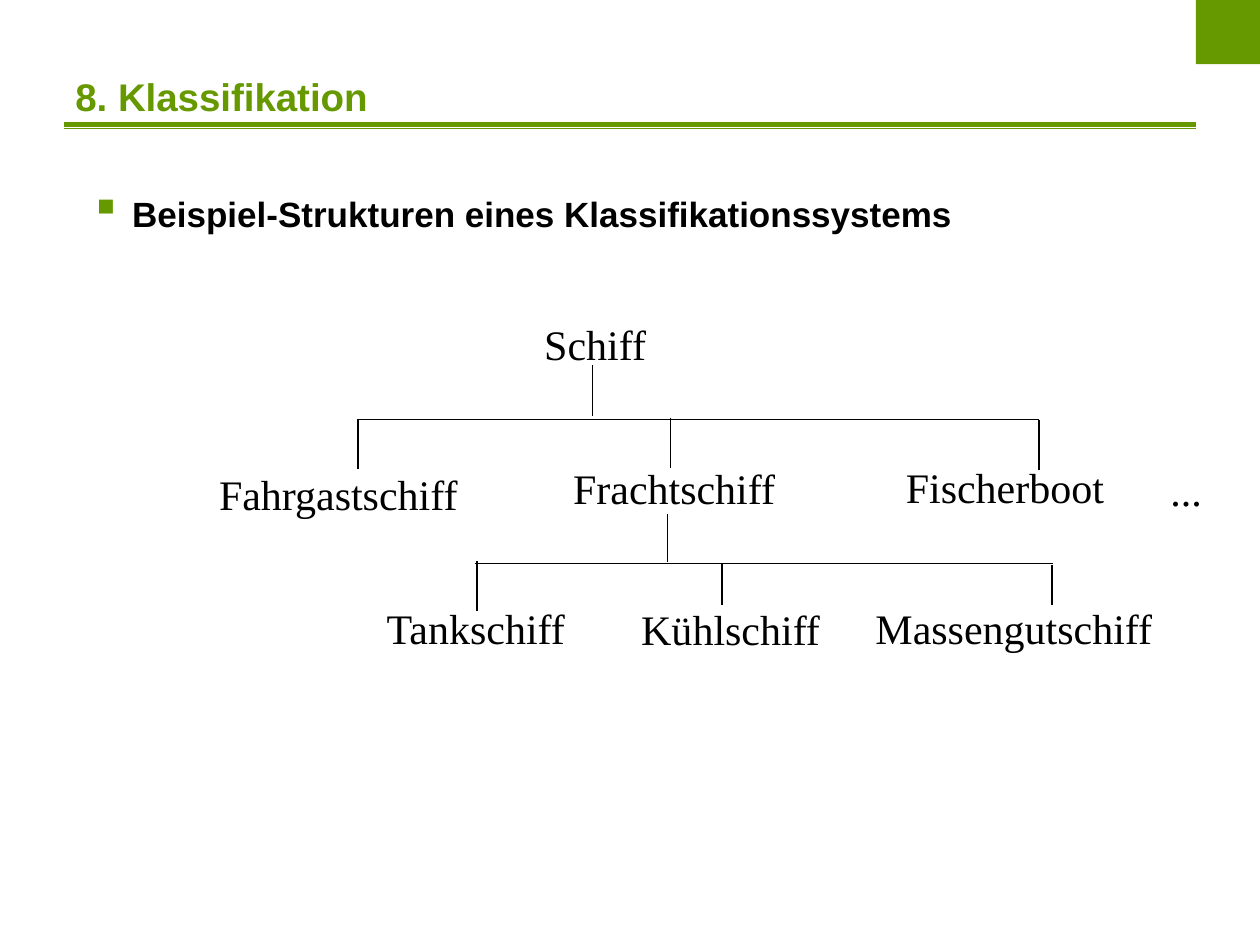
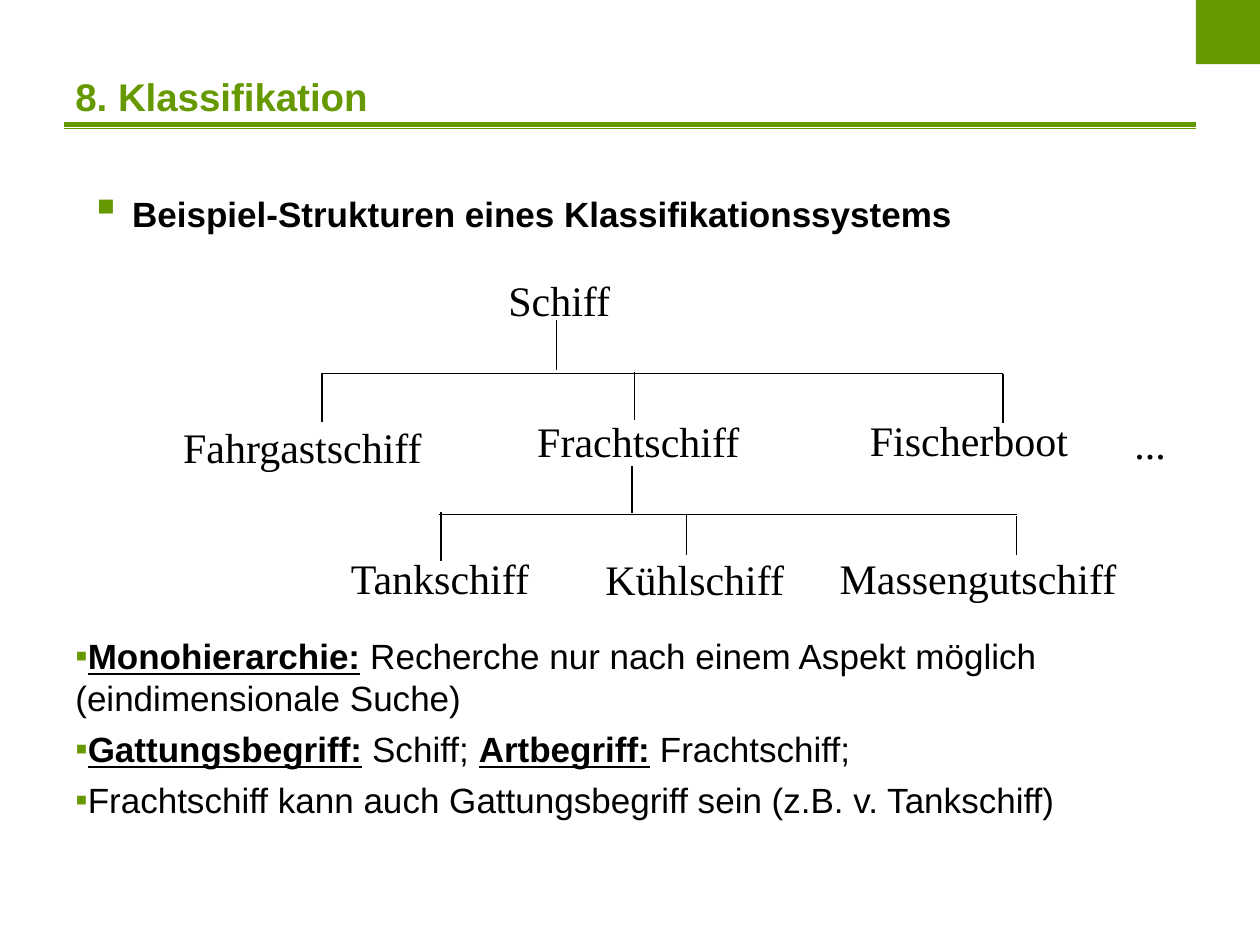
from dataclasses import dataclass

from lxml.etree import SubElement
from pptx import Presentation
from pptx.dml.color import RGBColor
from pptx.enum.shapes import MSO_CONNECTOR, MSO_SHAPE
from pptx.enum.text import MSO_ANCHOR, MSO_AUTO_SIZE
from pptx.oxml.ns import qn
from pptx.slide import Slide
from pptx.text.text import TextFrame
from pptx.util import Pt

COLORS = {"green": "669900", "black": "000000"}
SANS, SERIF = "Arial", "Times New Roman"
TERM_HEIGHT = 36


@dataclass(frozen=True)
class Run:
    text: str
    size: float = 20
    font: str = SANS
    color: str = "black"
    bold: bool = False
    underline: bool = False


@dataclass(frozen=True)
class Box:
    left: float
    top: float
    width: float
    height: float


@dataclass(frozen=True)
class Term:
    text: str
    left: float
    top: float
    width: float


@dataclass(frozen=True)
class Line:
    x1: float
    y1: float
    x2: float
    y2: float


@dataclass(frozen=True)
class TreePlace:
    left: float
    top: float
    stretch: float


# Shared layout
TITLE_BOX = Box(36, 10.1, 648, 90)
HEADING_BOX = Box(48.2, 94.3, 629.3, 432)
CORNER_BOX = Box(683.3, 0, 36.7, 36.7)
TITLE = [Run("8. Klassifikation", size=22, color="green", bold=True)]
HEADING = [
    Run(" ", size=32, bold=True),
    Run("Beispiel-Strukturen eines Klassifikationssystems", bold=True),
]
TITLE_RULES = [(71.3, 2.75), (73.4, 0.75)]

# Ship tree, measured from its own top left corner
TERMS = [
    Term("Schiff", 185.8, 0, 72.7),
    Term("Fahrgastschiff", 0, 85.7, 151.2),
    Term("Frachtschiff", 202.3, 82.1, 130.3),
    Term("Fischerboot", 392.4, 81.4, 129),
    Term("...", 543.6, 83.5, 32.4),
    Term("Tankschiff", 95.8, 162, 118),
    Term("Kühlschiff", 241.2, 162.7, 116.6),
    Term("Massengutschiff", 375.1, 162, 172.8),
]
BRANCHES = [
    # Schiff and its kinds
    Line(220.3, 30.2, 220.3, 59),
    Line(85.7, 61.2, 475.6, 61.2),
    Line(86.4, 61.2, 86.4, 89.3),
    Line(265, 60.5, 265, 88.6),
    Line(475.6, 61.6, 475.6, 90),
    # Frachtschiff and its kinds
    Line(263.5, 115.2, 263.5, 142.6),
    Line(153.4, 143.3, 483.8, 143.3),
    Line(154.4, 142.2, 154.4, 170.3),
    Line(294.5, 143.3, 294.5, 167),
    Line(483.1, 144.2, 483.1, 167),
]
TREE_PLACES = [TreePlace(118.1, 178.6, 1), TreePlace(97.6, 153.4, 0.98)]

# Explanation below the second tree
NOTES_BOX = Box(36, 359.3, 648, 123.1)
NOTES = [
    [
        Run("Monohierarchie:", bold=True, underline=True),
        Run(" Recherche nur nach einem Aspekt möglich (eindimensionale Suche)"),
    ],
    [
        Run("Gattungsbegriff:", bold=True, underline=True),
        Run(" Schiff; "),
        Run("Artbegriff:", bold=True, underline=True),
        Run(" Frachtschiff;"),
    ],
    [Run("Frachtschiff kann auch Gattungsbegriff sein (z.B. v. Tankschiff)")],
]


def rgb(color: str) -> RGBColor:
    return RGBColor.from_string(COLORS[color])


def add_bullet(paragraph) -> None:
    paragraph.space_before = Pt(5)
    properties = paragraph._p.get_or_add_pPr()
    properties.set("marL", "0")
    properties.set("indent", "0")
    bullet_color = SubElement(properties, qn("a:buClr"))
    SubElement(bullet_color, qn("a:srgbClr")).set("val", COLORS["green"])
    SubElement(properties, qn("a:buFont")).set("typeface", SANS)
    SubElement(properties, qn("a:buChar")).set("char", "▪")


def add_text(slide: Slide, box: Box, paragraphs: list[list[Run]],
             bullets: bool = False, wrap: bool = True) -> TextFrame:
    frame = slide.shapes.add_textbox(
        Pt(box.left), Pt(box.top), Pt(box.width), Pt(box.height)).text_frame
    frame.word_wrap = wrap
    if not wrap:
        frame.auto_size = MSO_AUTO_SIZE.SHAPE_TO_FIT_TEXT
    for index, runs in enumerate(paragraphs):
        paragraph = frame.add_paragraph() if index else frame.paragraphs[0]
        if bullets:
            add_bullet(paragraph)
        for run in runs:
            part = paragraph.add_run()
            part.text = run.text
            part.font.size = Pt(run.size)
            part.font.name = run.font
            part.font.bold = run.bold
            part.font.underline = run.underline
            part.font.color.rgb = rgb(run.color)
    return frame


def add_line(slide: Slide, line: Line, color: str = "black", width: float = 0.75) -> None:
    connector = slide.shapes.add_connector(
        MSO_CONNECTOR.STRAIGHT, Pt(line.x1), Pt(line.y1), Pt(line.x2), Pt(line.y2))
    connector.line.color.rgb = rgb(color)
    connector.line.width = Pt(width)
    SubElement(connector._element.spPr, qn("a:effectLst"))


def add_frame(slide: Slide) -> None:
    # Title rules, corner square, title and heading
    for y, width in TITLE_RULES:
        add_line(slide, Line(36.7, y, 683.3, y), "green", width)
    corner = slide.shapes.add_shape(
        MSO_SHAPE.RECTANGLE, Pt(CORNER_BOX.left), Pt(CORNER_BOX.top),
        Pt(CORNER_BOX.width), Pt(CORNER_BOX.height))
    corner.shadow.inherit = False
    corner.fill.solid()
    corner.fill.fore_color.rgb = rgb("green")
    corner.line.fill.background()
    add_text(slide, HEADING_BOX, [HEADING], bullets=True)
    add_text(slide, TITLE_BOX, [TITLE]).vertical_anchor = MSO_ANCHOR.MIDDLE


def add_tree(slide: Slide, place: TreePlace) -> None:
    def down(y: float) -> float:
        return place.top + y * place.stretch

    for term in TERMS:
        box = Box(place.left + term.left, down(term.top), term.width, TERM_HEIGHT)
        add_text(slide, box, [[Run(term.text, size=24, font=SERIF)]], wrap=False)
    for branch in BRANCHES:
        add_line(slide, Line(place.left + branch.x1, down(branch.y1),
                             place.left + branch.x2, down(branch.y2)))


def main() -> None:
    presentation = Presentation()
    presentation.slide_width, presentation.slide_height = Pt(720), Pt(540)
    blank = presentation.slide_layouts[6]
    for place in TREE_PLACES:
        slide = presentation.slides.add_slide(blank)
        add_frame(slide)
        add_tree(slide, place)
    # The last slide also explains the tree
    add_text(slide, NOTES_BOX, NOTES, bullets=True)
    presentation.save("out.pptx")


if __name__ == "__main__":
    main()
